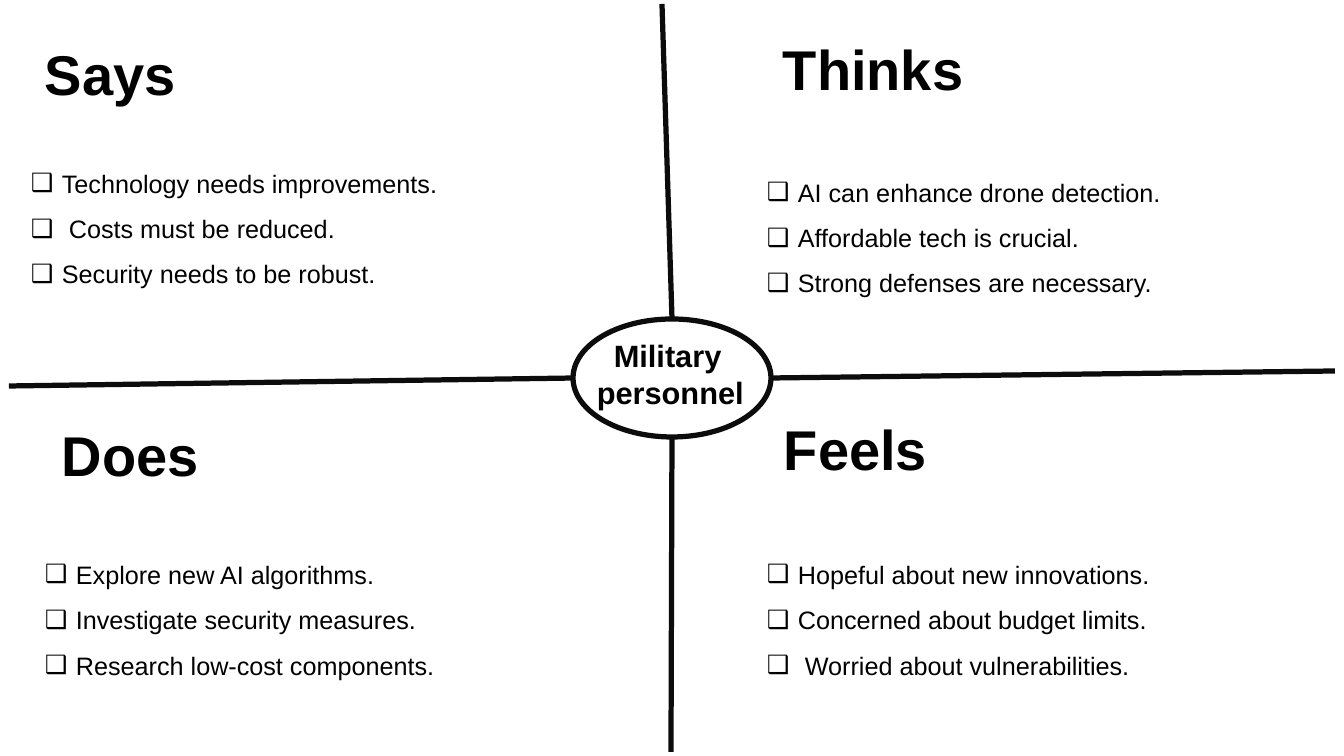
from dataclasses import dataclass

from lxml.etree import SubElement
from pptx import Presentation
from pptx.dml.color import RGBColor
from pptx.enum.shapes import MSO_CONNECTOR, MSO_SHAPE
from pptx.enum.text import MSO_AUTO_SIZE
from pptx.oxml.ns import qn
from pptx.util import Emu, Pt

SLIDE_WIDTH, SLIDE_HEIGHT = 1344, 756
EMU_PER_PX = 12192000 / SLIDE_WIDTH


def px(length):
    return Emu(round(length * EMU_PER_PX))


@dataclass(frozen=True)
class Theme:
    font: str = "Arial"
    ink: RGBColor = RGBColor(0x00, 0x00, 0x00)
    stroke: RGBColor = RGBColor(0x0C, 0x0C, 0x0C)
    stroke_width: float = 3.75
    heading: int = 40
    persona: int = 22
    body: int = 18
    body_spacing: float = 1.5
    bullet: str = "❑"
    bullet_indent: int = 31


class EmpathyMap:
    def __init__(self, slide, theme):
        self.shapes = slide.shapes
        self.theme = theme

    def outline(self, line):
        line.color.rgb = self.theme.stroke
        line.width = Pt(self.theme.stroke_width)

    def divider(self, *ends):
        arm = self.shapes.add_connector(MSO_CONNECTOR.STRAIGHT, *map(px, ends))
        self.outline(arm.line)
        SubElement(arm._element.spPr, qn("a:effectLst"))

    def hub(self, *frame):
        oval = self.shapes.add_shape(MSO_SHAPE.OVAL, *map(px, frame))
        oval.shadow.inherit = False
        oval.fill.background()
        self.outline(oval.line)

    def text_frame(self, frame):
        text = self.shapes.add_textbox(*map(px, frame)).text_frame
        text.word_wrap = True
        text.auto_size = MSO_AUTO_SIZE.SHAPE_TO_FIT_TEXT
        return text

    def run(self, paragraph, wording, size, bold=False):
        run = paragraph.add_run()
        run.text = wording
        run.font.name = self.theme.font
        run.font.size = Pt(size)
        run.font.bold = bold
        run.font.color.rgb = self.theme.ink

    def label(self, wording, size, frame, first_indent=0):
        paragraph = self.text_frame(frame).paragraphs[0]
        if first_indent:
            paragraph._p.get_or_add_pPr().set("indent", str(px(first_indent)))
        self.run(paragraph, wording, size, bold=True)

    def checklist(self, items, frame):
        text = self.text_frame(frame)
        indent = px(self.theme.bullet_indent)
        for index, item in enumerate(items):
            paragraph = text.add_paragraph() if index else text.paragraphs[0]
            paragraph.line_spacing = self.theme.body_spacing
            properties = paragraph._p.get_or_add_pPr()
            properties.set("marL", str(indent))
            properties.set("indent", str(-indent))
            bullet_color = SubElement(properties, qn("a:buClr"))
            SubElement(bullet_color, qn("a:srgbClr"), val=str(self.theme.ink))
            SubElement(properties, qn("a:buFont"), typeface=self.theme.font)
            SubElement(properties, qn("a:buChar"), char=self.theme.bullet)
            self.run(paragraph, item, self.theme.body)


DIVIDERS = [
    (672, 318, 662, 4),
    (770, 378, 1335, 371),
    (9, 386, 574, 378),
    (671, 752, 672, 437),
]

QUADRANTS = [
    ("Says", (35, 35, 164, 78), (21, 148, 624, 188), [
        "Technology needs improvements.",
        " Costs must be reduced.",
        "Security needs to be robust.",
    ]),
    ("Thinks", (773, 30, 246, 78), (757, 157, 580, 143), [
        "AI can enhance drone detection.",
        "Affordable tech is crucial.",
        "Strong defenses are necessary.",
    ]),
    ("Does", (52, 416, 164, 78), (35, 539, 606, 143), [
        "Explore new AI algorithms.",
        "Investigate security measures.",
        "Research low-cost components.",
    ]),
    ("Feels", (774, 410, 164, 78), (757, 539, 580, 143), [
        "Hopeful about new innovations.",
        "Concerned about budget limits.",
        " Worried about vulnerabilities.",
    ]),
]


def main():
    presentation = Presentation()
    presentation.slide_width = px(SLIDE_WIDTH)
    presentation.slide_height = px(SLIDE_HEIGHT)
    slide = presentation.slides.add_slide(presentation.slide_layouts[6])
    theme = Theme()
    empathy_map = EmpathyMap(slide, theme)

    for ends in DIVIDERS:
        empathy_map.divider(*ends)
    empathy_map.hub(573, 319, 198, 118)

    for heading, heading_frame, list_frame, items in QUADRANTS:
        empathy_map.label(heading, theme.heading, heading_frame)
        empathy_map.checklist(items, list_frame)
    empathy_map.label("Military personnel", theme.persona, (587, 332, 195, 85), first_indent=17)

    presentation.save("out.pptx")


if __name__ == "__main__":
    main()
